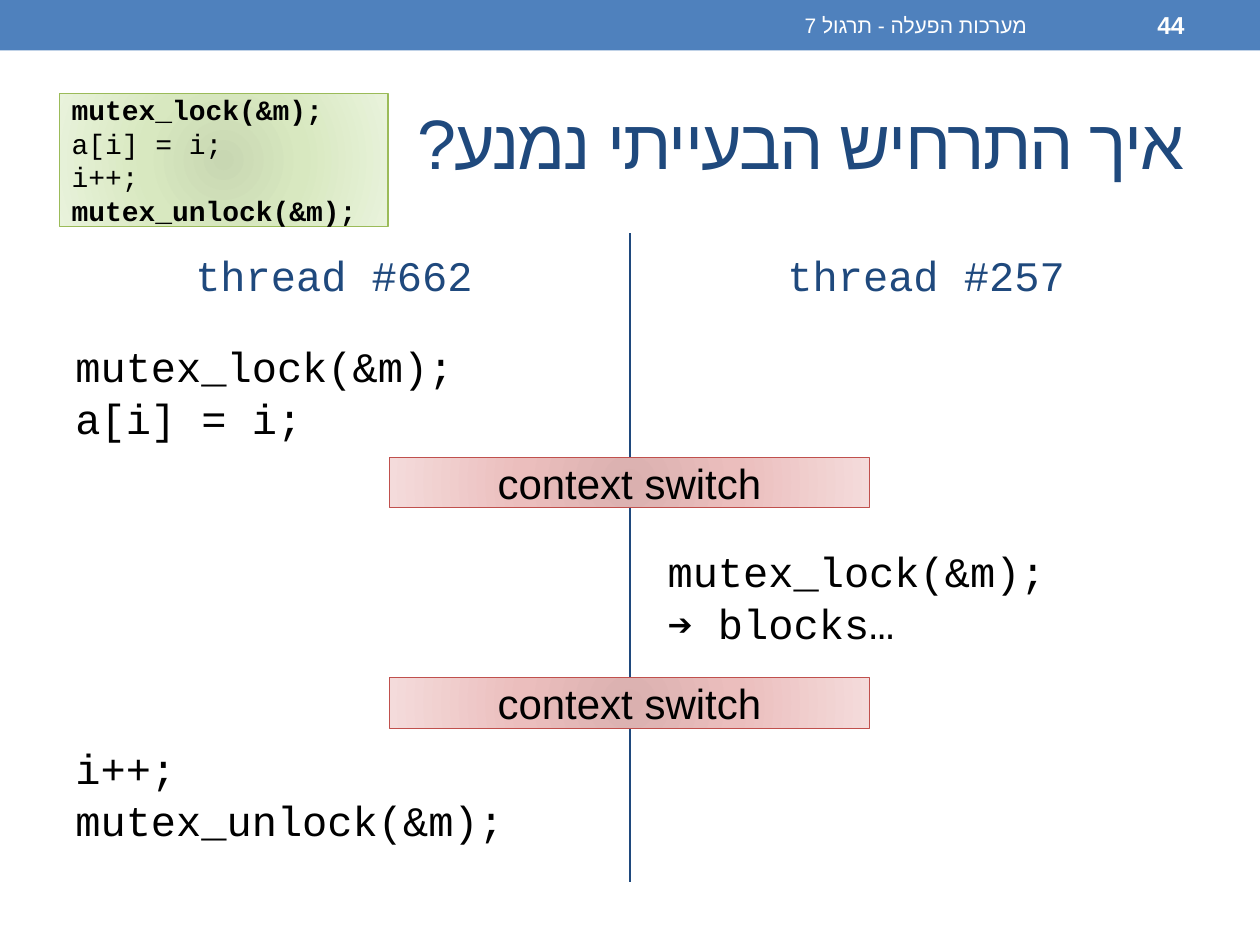
"""Builds a slide showing how a mutex prevents the problematic thread interleaving."""
from lxml import etree
from pptx import Presentation, util as u
from pptx.dml.color import RGBColor
from pptx.enum import shapes, text
from pptx.oxml import parse_xml
from pptx.oxml.ns import nsdecls, qn

NAVY = RGBColor(0x1F, 0x49, 0x7D)
BLUE = RGBColor(0x4F, 0x81, 0xBD)
RED = RGBColor(0xC0, 0x50, 0x4D)
GREEN = RGBColor(0x9B, 0xBB, 0x59)
BLACK = RGBColor(0, 0, 0)
WHITE = RGBColor(0xFF, 0xFF, 0xFF)
RED_GLOW = [RGBColor(0xDA, 0xB0, 0xAF), RGBColor(0xEB, 0xBE, 0xBD), RGBColor(0xF4, 0xDB, 0xDB)]
GREEN_GLOW = [RGBColor(0xC8, 0xD7, 0xB2), RGBColor(0xD8, 0xE8, 0xC0), RGBColor(0xE9, 0xF3, 0xDC)]

COLUMNS, ROWS = 100, 75
UNIT = u.Inches(0.1)
LANE_WIDTH = 43
LANE_LEFT = {"thread #662": 5, "thread #257": 52}
CODE_STEPS = [
    ("thread #662", 26.5, ["mutex_lock(&m);", "a[i] = i;"]),
    ("thread #257", 42.8, ["mutex_lock(&m);", "➔ blocks…"]),
    ("thread #662", 58.4, ["i++;", "mutex_unlock(&m);"]),
]
SWITCH_ROWS = [36.3, 53.8]
CRITICAL_SECTION = ["mutex_lock(&m);", "a[i] = i;", "i++;", "mutex_unlock(&m);"]

LEFT, CENTER, RIGHT = text.PP_ALIGN.LEFT, text.PP_ALIGN.CENTER, text.PP_ALIGN.RIGHT
MIDDLE, TOP = text.MSO_ANCHOR.MIDDLE, text.MSO_ANCHOR.TOP


def cells(*counts):
    """Turn grid counts into lengths."""
    return [round(count * UNIT) for count in counts]


def write(shape, lines, size, color, font="Courier New", align=LEFT, anchor=MIDDLE,
          rtl=False, bold=(), gap=0, tracking=0):
    """Fill a shape with one paragraph per line and format the runs."""
    frame = shape.text_frame
    frame.word_wrap = True
    frame.vertical_anchor = anchor
    frame.text = "\n".join(lines)
    for paragraph in frame.paragraphs:
        paragraph.alignment = align
        paragraph.space_before = u.Pt(gap)
        if rtl:
            paragraph._p.get_or_add_pPr().set("rtl", "1")
        for run in paragraph.runs:
            run.font.size = u.Pt(size)
            run.font.name = font
            run.font.bold = run.text in bold
            run.font.color.rgb = color
            properties = run._r.get_or_add_rPr()
            etree.SubElement(properties, qn("a:cs")).set("typeface", font)
            if tracking:
                properties.set("spc", str(tracking * 100))


def add_label(slide, box, lines, size, color, **style):
    """Add a text box on the grid."""
    write(slide.shapes.add_textbox(*cells(*box)), lines, size, color, **style)


def add_banner(slide):
    """Add the coloured band along the top edge."""
    banner = slide.shapes.add_shape(shapes.MSO_SHAPE.RECTANGLE, *cells(0, 0, COLUMNS, 4))
    banner.shadow.inherit = False
    banner.fill.solid()
    banner.fill.fore_color.rgb = BLUE
    banner.line.fill.background()


def add_divider(slide):
    """Add the line between the two thread lanes."""
    divider = slide.shapes.add_connector(
        shapes.MSO_CONNECTOR.STRAIGHT, *cells(COLUMNS / 2, 18.5, COLUMNS / 2, 70))
    divider.line.color.rgb = NAVY
    divider.line.width = u.Pt(1.5)
    etree.SubElement(divider._element.spPr, qn("a:effectLst"))


def add_glowing_box(slide, box, glow, outline, lines, size, **style):
    """Add a process box with a gradient spreading from its centre."""
    process = slide.shapes.add_shape(shapes.MSO_SHAPE.FLOWCHART_PROCESS, *cells(*box))
    process.shadow.inherit = False
    process.line.color.rgb = outline
    process.line.width = u.Pt(0.75)
    stops = "".join(f'<a:gs pos="{share * 1000}"><a:srgbClr val="{color}"/></a:gs>'
                    for share, color in zip((0, 45, 100), glow))
    gradient = parse_xml(
        f'<a:gradFill {nsdecls("a")} rotWithShape="1"><a:gsLst>{stops}</a:gsLst>'
        '<a:path path="circle"><a:fillToRect l="50000" t="50000" r="50000" b="50000"/>'
        '</a:path></a:gradFill>')
    process._element.spPr.find(qn("a:prstGeom")).addnext(gradient)
    write(process, lines, size, BLACK, **style)


def main():
    """Build and save the slide."""
    deck = Presentation()
    deck.slide_width, deck.slide_height = cells(COLUMNS, ROWS)
    slide = deck.slides.add_slide(deck.slide_layouts[6])

    add_banner(slide)
    add_divider(slide)
    hebrew = dict(font="Arial", align=RIGHT, rtl=True)
    add_label(slide, (5, 5.8, 90, 10.8), ["איך התרחיש הבעייתי נמנע?"], 40, NAVY,
              tracking=-1, **hebrew)
    add_label(slide, (37.5, 0.2, 45, 3.6), ["מערכות הפעלה - תרגול 7"], 12, WHITE, **hebrew)
    add_label(slide, (83.3, 0.2, 11.7, 3.6), ["44"], 14, WHITE, bold=["44"], **hebrew)

    for thread, left in LANE_LEFT.items():
        add_label(slide, (left, 18.3, LANE_WIDTH, 7), [thread], 24, NAVY,
                  align=CENTER, rtl=True)
    for thread, top, code in CODE_STEPS:
        add_label(slide, (LANE_LEFT[thread], top, LANE_WIDTH, 9), code, 24, BLACK,
                  anchor=TOP, gap=1)
    for top in SWITCH_ROWS:
        add_glowing_box(slide, (30.9, top, 38.1, 4), RED_GLOW, RED, ["context switch"], 24,
                        font="Arial", align=CENTER)
    add_glowing_box(slide, (4.7, 7.4, 26.1, 10.6), GREEN_GLOW, GREEN, CRITICAL_SECTION, 16,
                    bold=(CRITICAL_SECTION[0], CRITICAL_SECTION[-1]))

    deck.save("out.pptx")


if __name__ == "__main__":
    main()
